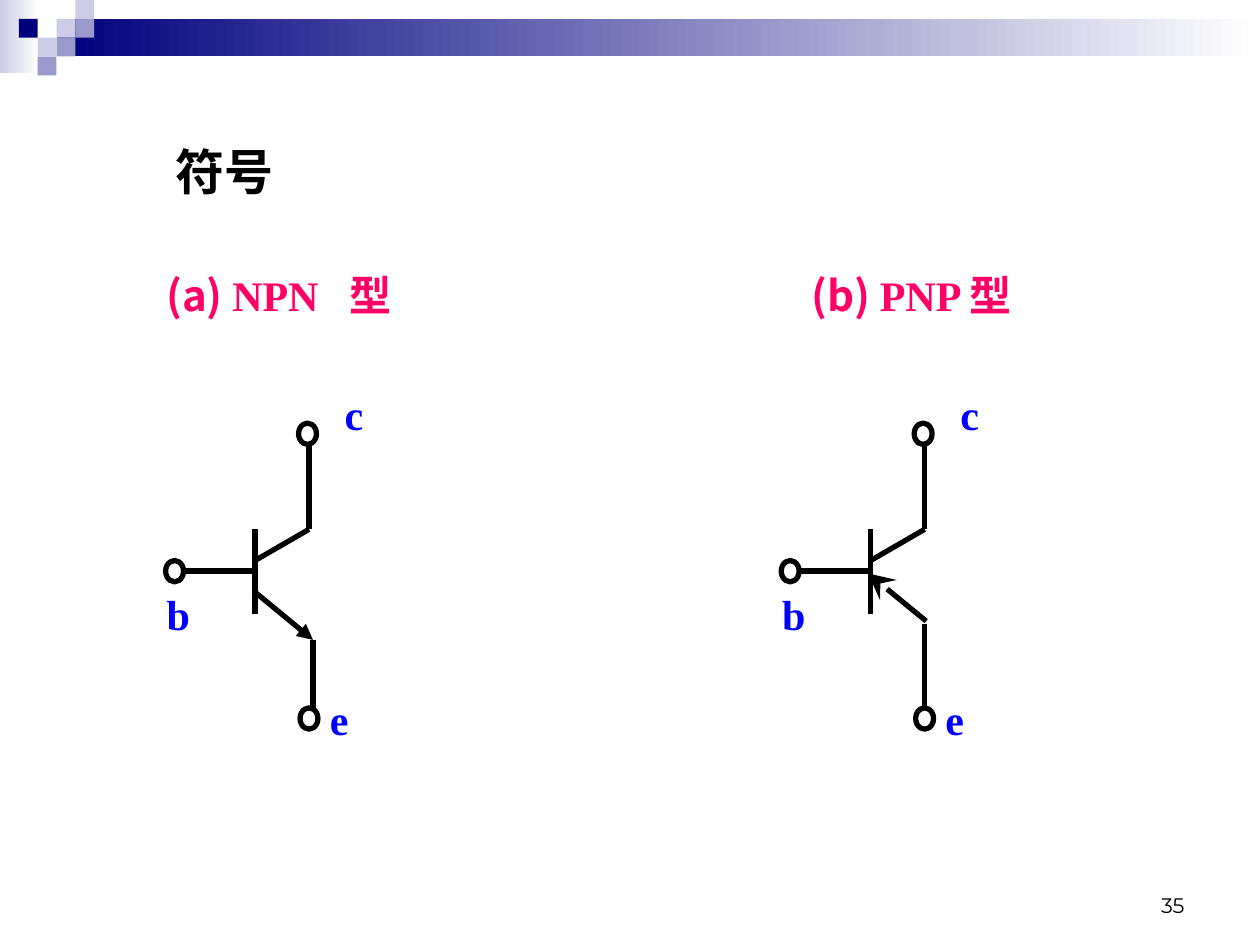
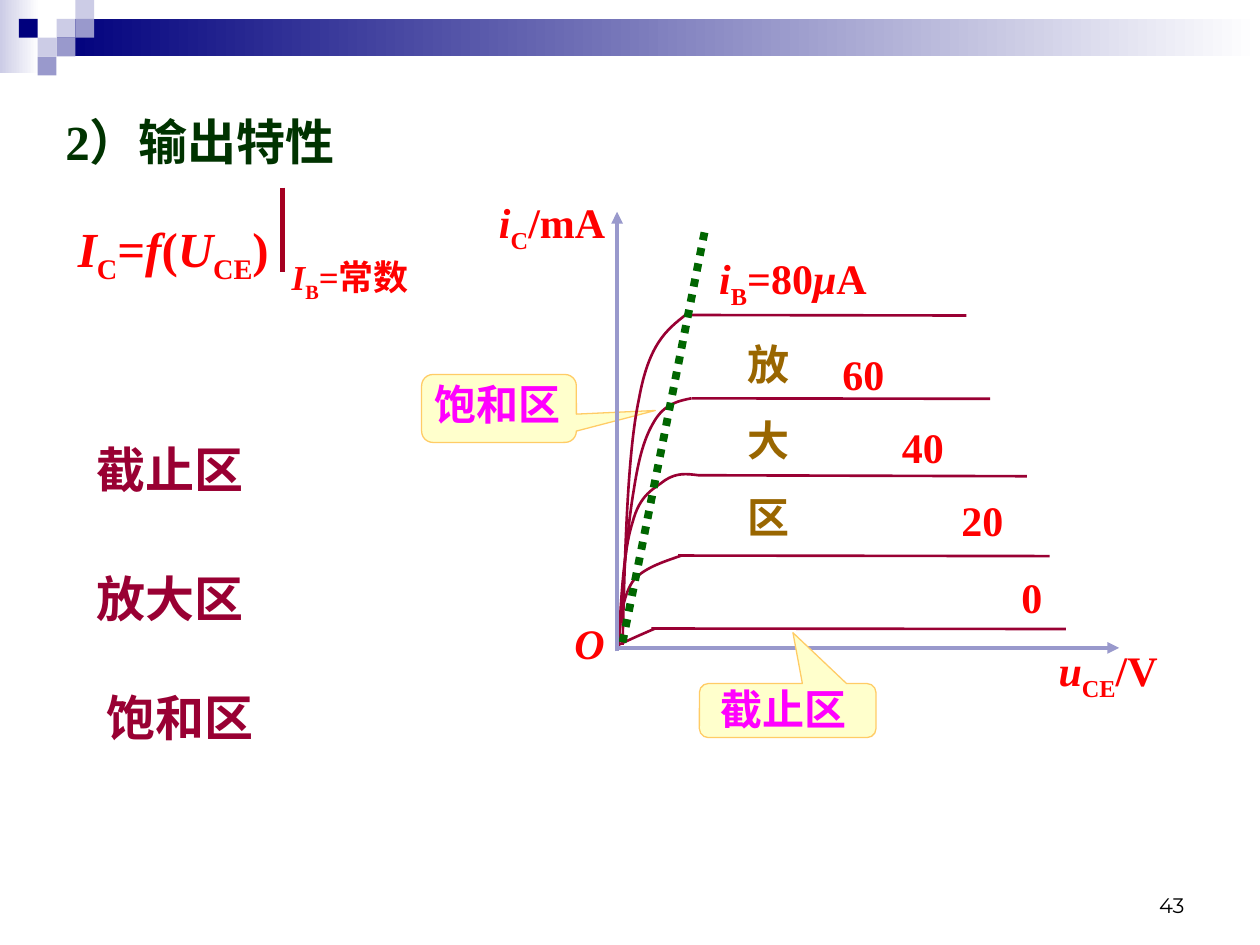
from dataclasses import dataclass

from lxml import etree
from pptx import Presentation
from pptx.dml.color import RGBColor
from pptx.enum.dml import MSO_LINE
from pptx.enum.shapes import MSO_CONNECTOR, MSO_SHAPE
from pptx.enum.text import MSO_ANCHOR, PP_ALIGN
from pptx.oxml.ns import qn
from pptx.util import Cm, Pt


@dataclass(frozen=True)
class Theme:
    latin: str = "Times New Roman"
    cjk: str = "Noto Sans CJK SC"
    number_font: str = "Montserrat"
    black: RGBColor = RGBColor(0x00, 0x00, 0x00)
    white: RGBColor = RGBColor(0xFF, 0xFF, 0xFF)
    navy: RGBColor = RGBColor(0x00, 0x00, 0x7D)
    lavender: RGBColor = RGBColor(0x99, 0x99, 0xCC)
    pale: RGBColor = RGBColor(0xCC, 0xCC, 0xE6)
    blue: RGBColor = RGBColor(0x00, 0x00, 0xFF)
    pink: RGBColor = RGBColor(0xFF, 0x00, 0x66)
    magenta: RGBColor = RGBColor(0xFF, 0x00, 0xFF)
    red: RGBColor = RGBColor(0xFF, 0x00, 0x00)
    crimson: RGBColor = RGBColor(0xA5, 0x00, 0x21)
    maroon: RGBColor = RGBColor(0x99, 0x00, 0x33)
    brown: RGBColor = RGBColor(0x99, 0x66, 0x00)
    forest: RGBColor = RGBColor(0x00, 0x33, 0x00)
    green: RGBColor = RGBColor(0x00, 0x66, 0x00)
    cream: RGBColor = RGBColor(0xFF, 0xFF, 0xCC)
    gold: RGBColor = RGBColor(0xFF, 0xCC, 0x66)
    title: int = 28
    label: int = 24
    condition: int = 20
    number: int = 12


T = Theme()


def add_text(slide, box, paragraphs, size, color, font=T.latin, bold=True,
             anchor=MSO_ANCHOR.TOP, align=PP_ALIGN.LEFT, tab=None):
    """Each paragraph lists (text, style) runs: i italic, s subscript, n CJK font."""
    frame = slide.shapes.add_textbox(*map(Cm, box)).text_frame
    frame.word_wrap = True
    frame.vertical_anchor = anchor
    for index, runs in enumerate(paragraphs):
        paragraph = frame.add_paragraph() if index else frame.paragraphs[0]
        paragraph.alignment = align
        if tab:
            stops = etree.SubElement(paragraph._p.get_or_add_pPr(), qn("a:tabLst"))
            etree.SubElement(stops, qn("a:tab"), pos=str(Cm(tab)), algn="l")
        if index:
            paragraph.space_before = Pt(15)
        for text, style in runs:
            run = paragraph.add_run()
            run.text = text
            run.font.size = Pt(size)
            run.font.bold = bold
            run.font.italic = "i" in style
            run.font.color.rgb = color
            run.font.name = T.cjk if "n" in style else font
            properties = run._r.get_or_add_rPr()
            etree.SubElement(properties, qn("a:ea"), typeface=T.cjk)
            if "s" in style:
                properties.set("baseline", "-25000")


def add_line(slide, start, end, color, width, arrow=None, arrow_size="med"):
    line = slide.shapes.add_connector(MSO_CONNECTOR.STRAIGHT, *map(Cm, start + end))
    line.line.color.rgb = color
    line.line.width = Pt(width)
    if arrow:
        etree.SubElement(line.line._get_or_add_ln(), qn("a:tailEnd"), type=arrow,
                         w=arrow_size, len=arrow_size)
    etree.SubElement(line._element.spPr, qn("a:effectLst"))


prs = Presentation()
prs.slide_width, prs.slide_height = Cm(25.4), Cm(19.05)
blank = prs.slide_layouts[6]
symbols = prs.slides.add_slide(blank)
output = prs.slides.add_slide(blank)

# Header band and mosaic, kept on the shared layout
TILE = 0.38
header = [((0, 0, 0.79, 1.47), (T.pale, T.white)),
          ((1.14, TILE, 24.26, 0.76), (T.navy, T.white))]
for column, row, color in [(3, 1, T.pale), (4, 0, T.pale), (4, 1, T.lavender),
                           (2, 2, T.pale), (1, 1, T.navy), (3, 2, T.lavender),
                           (2, 3, T.lavender)]:
    header.append(((column * TILE, row * TILE, TILE, TILE), (color,)))
for box, colors in header:
    block = symbols.shapes.add_shape(MSO_SHAPE.RECTANGLE, *map(Cm, box))
    block.shadow.inherit = False
    block.line.fill.background()
    if len(colors) == 2:
        block.fill.gradient()
        block.fill.gradient_angle = 0
        for stop, color in zip(block.fill.gradient_stops, colors):
            stop.color.rgb = color
    else:
        block.fill.solid()
        block.fill.fore_color.rgb = colors[0]
    blank.shapes._spTree.append(block._element)

# Page numbers
for slide, number in [(symbols, "35"), (output, "43")]:
    add_text(slide, (18.21, 17.35, 5.92, 1.27), [[(number, "")]], T.number, T.black,
             font=T.number_font, bold=False, anchor=MSO_ANCHOR.BOTTOM,
             align=PP_ALIGN.RIGHT)

# Transistor symbols: headings
add_text(symbols, (3.29, 2.72, 3.43, 1.45), [[("符号", "")]], T.title, T.black)
add_text(symbols, (3.1, 5.31, 5.59, 1.27), [[("(a) ", "n"), ("NPN\t型", "")]],
         T.label, T.pink, tab=3.7)
add_text(symbols, (16.11, 5.31, 5.21, 1.27),
         [[("(b) ", "n"), ("PNP ", ""), ("型", "n")]], T.label, T.pink)

# Both transistors, measured from their base bar
npn_emitter = [((-0.03, 11.91), (1.17, 12.9), "triangle"),
               ((1.17, 12.9), (1.17, 14.63), None)]
pnp_emitter = [((1.12, 12.52), (-0.05, 11.56), "stealth"),
               ((1.09, 12.57), (1.09, 14.27), None)]
common_leads = [((0, 10.67), (0, 12.37), None),
                ((0, 11.3), (1.09, 10.67), None),
                ((1.09, 10.67), (1.09, 8.76), None),
                ((0, 11.51), (-1.45, 11.51), None)]
for base_x, emitter in [(5.14, npn_emitter), (17.55, pnp_emitter)]:
    for (x1, y1), (x2, y2), arrow in common_leads + emitter:
        add_line(symbols, (base_x + x1, y1), (base_x + x2, y2), T.black, 3, arrow,
                 "lg" if arrow == "stealth" else "med")
    for terminal, ring_x, ring_y, label_x, label_y, label_width in [
            ("c", 0.88, 8.53, 1.56, 7.7, 1.45),
            ("b", -1.8, 11.3, -2.03, 11.73, 1.19),
            ("e", 0.91, 14.27, 1.26, 13.86, 1.09)]:
        ring = symbols.shapes.add_shape(MSO_SHAPE.OVAL, Cm(base_x + ring_x), Cm(ring_y),
                                        Cm(0.36), Cm(0.43))
        ring.shadow.inherit = False
        ring.fill.solid()
        ring.fill.fore_color.rgb = T.white
        ring.line.color.rgb = T.black
        ring.line.width = Pt(3)
        add_text(symbols, (base_x + label_x, label_y, label_width, 1.27),
                 [[(terminal, "")]], T.label, T.blue, anchor=MSO_ANCHOR.MIDDLE)

# Output characteristic: flat part of each curve
for start, end in [((13.67, 11.2), (21.16, 11.21)),
                   ((14.07, 9.58), (20.7, 9.6)),
                   ((13.13, 12.67), (21.49, 12.68)),
                   ((13.94, 8.03), (19.96, 8.04)),
                   ((13.79, 6.35), (19.48, 6.36))]:
    add_line(output, start, end, T.maroon, 1.5)

# Rising parts and saturation boundary: a start, then three Bezier points a segment
rising = [
    [(12.47, 13), (12.5, 12.52), (12.55, 12.04), (12.75, 11.73),
     (12.95, 11.46), (13.36, 11.33), (13.74, 11.2)],
    [(12.47, 13.06), (12.52, 12.07), (12.57, 11.1), (12.75, 10.54),
     (12.9, 9.96), (13.18, 9.86), (13.41, 9.68),
     (13.64, 9.53), (13.84, 9.55), (14.07, 9.58)],
    [(12.47, 13), (12.47, 13), (12.83, 12.83), (13.21, 12.67)],
    [(12.47, 13), (12.55, 11.81), (12.65, 10.62), (12.78, 9.86),
     (12.9, 9.09), (13.03, 8.74), (13.23, 8.43),
     (13.44, 8.13), (13.69, 8.08), (13.94, 8.03)],
    [(12.55, 13), (12.6, 11.07), (12.65, 9.14), (12.88, 8.05),
     (13.08, 6.93), (13.44, 6.65), (13.82, 6.35)],
]
boundary = [(12.55, 12.95), (13.26, 9.47), (13.94, 5.99), (14.22, 4.6)]
for points, color, width, dash in (
        [(curve, T.maroon, 1.5, None) for curve in rising]
        + [(boundary, T.green, 4.5, MSO_LINE.ROUND_DOT)]):
    builder = output.shapes.build_freeform(*map(Cm, points[0]))
    builder.add_line_segments([tuple(map(Cm, point)) for point in points[1:]], close=False)
    curve = builder.convert_to_shape()
    outline = next(curve._element.iter(qn("a:path")))
    corners = outline.findall(qn("a:lnTo"))
    for first in range(0, len(corners), 3):
        bezier = etree.SubElement(outline, qn("a:cubicBezTo"))
        for corner in corners[first:first + 3]:
            bezier.append(corner[0])
            outline.remove(corner)
    curve.shadow.inherit = False
    curve.fill.background()
    curve.line.color.rgb = color
    curve.line.width = Pt(width)
    if dash:
        curve.line.dash_style = dash

# Axes
add_line(output, (12.47, 13.06), (22.56, 13.06), T.lavender, 2.25, "triangle")
add_line(output, (12.44, 13.13), (12.44, 4.27), T.lavender, 2.25, "triangle")

# Region callouts: saturation lies behind the graph, cutoff in front
for region, box, tip, text_box, behind in [
        ("饱和区", (8.5, 7.55, 3.12, 1.37), (1.01, 0.03), (8.51, 7.5, 3.33, 1.27), True),
        ("截止区", (14.1, 13.78, 3.56, 1.09), (0.03, -1.44), (14.27, 13.65, 3.45, 1.27),
         False)]:
    callout = output.shapes.add_shape(MSO_SHAPE.ROUNDED_RECTANGULAR_CALLOUT, *map(Cm, box))
    callout.shadow.inherit = False
    callout.adjustments[0], callout.adjustments[1] = tip
    callout.fill.solid()
    callout.fill.fore_color.rgb = T.cream
    callout.line.color.rgb = T.gold
    callout.line.width = Pt(0.75)
    if behind:
        output.shapes._spTree.insert(2, callout._element)
    add_text(output, text_box, [[(region, "")]], T.label, T.magenta)

# Axis and curve labels
for box, runs in [
        ((9.81, 3.84, 3.07, 1.42), [("i", "i"), ("C", "s"), ("/mA", "")]),
        ((11.33, 12.32, 1.4, 1.27), [("O", "i")]),
        ((21.09, 12.87, 2.82, 1.42), [("u", "i"), ("CE", "s"), ("/V", "")]),
        ((14.25, 4.97, 4.72, 1.42),
         [("i", "i"), ("B", "s"), ("=80", ""), ("μ", "i"), ("А", "")]),
        ((16.73, 6.91, 2.24, 1.27), [("60", "")]),
        ((17.93, 8.38, 2.08, 1.27), [("40", "")]),
        ((19.13, 9.85, 1.75, 1.27), [("20", "")]),
        ((20.34, 11.39, 1.19, 1.27), [("0", "")])]:
    add_text(output, box, [runs], T.label, T.red)
add_text(output, (14.82, 6.69, 1.42, 4.37), [[(sign, "")] for sign in "放大区"],
         T.label, T.brown)

# Title and defining equation
add_text(output, (1.07, 2.12, 8.03, 1.45), [[("2）输出特性", "")]], T.title, T.forest)
add_text(output, (1.32, 4.27, 6.3, 1.6),
         [[("I", "i"), ("C", "s"), ("=", ""), ("f", "i"), ("(", ""), ("U", "i"),
           ("CE", "s"), (")", "")]], T.title, T.red)
add_line(output, (5.69, 3.78), (5.69, 5.49), T.crimson, 3)
add_text(output, (5.63, 5.03, 4.88, 1.22), [[("I", "i"), ("B", "s"), ("=常数", "")]],
         T.condition, T.red)

# Operating regions
for region, left, top, width in [("截止区", 1.7, 8.74, 9.09), ("放大区", 1.7, 11.33, 8),
                                 ("饱和区", 1.9, 13.73, 9.91)]:
    add_text(output, (left, top, width, 1.45), [[(region, "")]], T.title, T.maroon)

prs.save("out.pptx")
